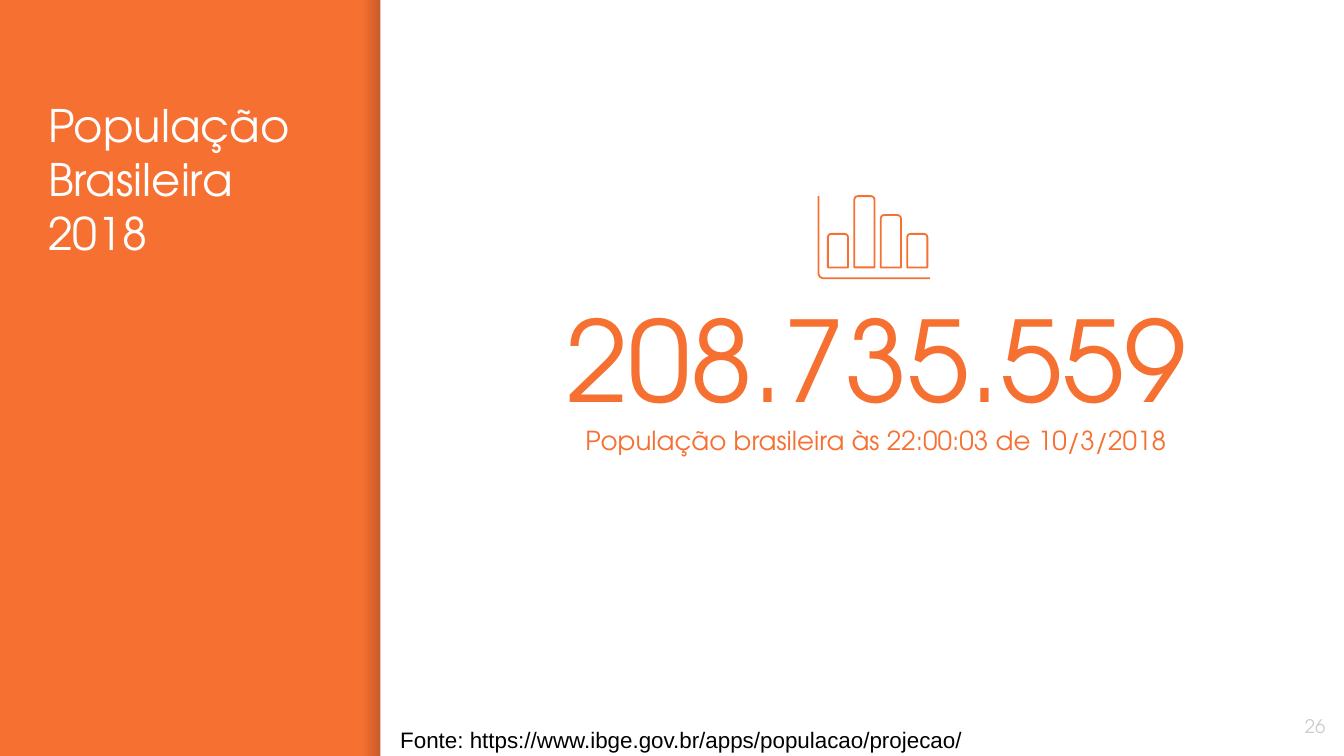
from lxml.etree import SubElement
from pptx import Presentation
from pptx.dml.color import RGBColor
from pptx.enum.shapes import MSO_SHAPE as Shape
from pptx.enum.text import MSO_ANCHOR as Anchor, PP_ALIGN as Align
from pptx.oxml.ns import qn
from pptx.util import Inches, Pt

ORANGE, WHITE, GREY, BLACK, SHADE = "F67031", "FFFFFF", "CCCCCC", "000000", "000014"
DISPLAY, PLAIN = "TeX Gyre Adventor", "Arial"
WIDTH = 10
HEIGHT = WIDTH * 9 / 16
PANEL = 2.83
SHADE_WIDTH = 0.13

TITLE = ["População", "Brasileira", "2018"]
COUNT = "208.735.559"
CAPTION = "População brasileira às 22:00:03 de 10/3/2018"
SOURCE = "Fonte: https://www.ibge.gov.br/apps/populacao/projecao/"
PAGE = "26"

BAR_HEIGHTS = [0.25, 0.53, 0.39, 0.25]
BAR_LEFT, BAR_BASE, BAR_WIDTH = 6.16, 1.99, 0.15
BAR_STEP = (6.75 - BAR_LEFT) / (len(BAR_HEIGHTS) - 1)
AXIS = [(6.09, 1.46), (6.09, 2.04), (6.1, 2.06), (6.12, 2.07), (6.92, 2.07)]


def color(value):
    return RGBColor.from_string(value)


def add_block(kind, left, top, width, height):
    block = slide.shapes.add_shape(kind, *map(Inches, (left, top, width, height)))
    block.shadow.inherit = False
    return block


def outline(icon_part):
    icon_part.shadow.inherit = False
    icon_part.fill.background()
    icon_part.line.color.rgb = color(ORANGE)
    icon_part.line.width = Pt(0.96)


def style(font, size, ink, face=DISPLAY):
    font.size, font.name = Pt(size), face
    font.color.rgb = color(ink)


def add_frame(box, anchor=Anchor.TOP):
    frame = slide.shapes.add_textbox(*map(Inches, box)).text_frame
    frame.word_wrap = True
    frame.vertical_anchor = anchor
    frame.margin_left = frame.margin_right = Inches(0.1)
    frame.margin_top = frame.margin_bottom = Inches(0.1)
    return frame


def add_text(box, lines, size, ink, face=DISPLAY, align=Align.LEFT, anchor=Anchor.TOP):
    frame = add_frame(box, anchor)
    frame.text = "\n".join(lines)
    for paragraph in frame.paragraphs:
        paragraph.alignment = align
        style(paragraph.font, size, ink, face)


def add_headline(box, parts):
    paragraph = add_frame(box).paragraphs[0]
    paragraph.alignment = Align.CENTER
    for index, (words, size) in enumerate(parts):
        if index:
            paragraph.add_line_break()
        run = paragraph.add_run()
        run.text = words
        style(run.font, size, ORANGE)


deck = Presentation()
deck.slide_width, deck.slide_height = Inches(WIDTH), Inches(HEIGHT)
slide = deck.slides.add_slide(deck.slide_layouts[6])
slide.background.fill.solid()
slide.background.fill.fore_color.rgb = color(ORANGE)

edge = add_block(Shape.RECTANGLE, PANEL - SHADE_WIDTH, 0, SHADE_WIDTH, HEIGHT)
edge.line.fill.background()
edge.fill.gradient()
edge.fill.gradient_angle = 0
for stop, position in zip(edge.fill.gradient_stops, (0, 1)):
    stop.position = position
    stop.color.rgb = color(SHADE)
for tint, alpha in zip(edge.element.spPr.iter(qn("a:srgbClr")), (0, 20000)):
    SubElement(tint, qn("a:alpha")).set("val", str(alpha))

page = add_block(Shape.RECTANGLE, PANEL, 0, WIDTH - PANEL, HEIGHT)
page.fill.solid()
page.fill.fore_color.rgb = color(WHITE)
page.line.fill.background()

add_text((9.36, 5.19, 0.6, 0.43), [PAGE], 10, GREY, align=Align.RIGHT, anchor=Anchor.MIDDLE)
add_text((0.26, 0.63, 2.24, 4.35), TITLE, 24, WHITE)
add_headline((3.94, 2.06, 5.16, 1.2), [(COUNT, 60), (CAPTION, 14)])
add_text((2.88, 5.38, 6.66, 0.24), [SOURCE], 12, BLACK, PLAIN, anchor=Anchor.MIDDLE)

corner, *bends = [(Inches(x), Inches(y)) for x, y in AXIS]
pen = slide.shapes.build_freeform(*corner)
pen.add_line_segments(bends, close=False)
outline(pen.convert_to_shape())
for column, height in enumerate(BAR_HEIGHTS):
    bar = add_block(Shape.ROUND_2_SAME_RECTANGLE, BAR_LEFT + column * BAR_STEP,
                    BAR_BASE - height, BAR_WIDTH, height)
    bar.adjustments[0] = 0.17
    outline(bar)

deck.save("out.pptx")
